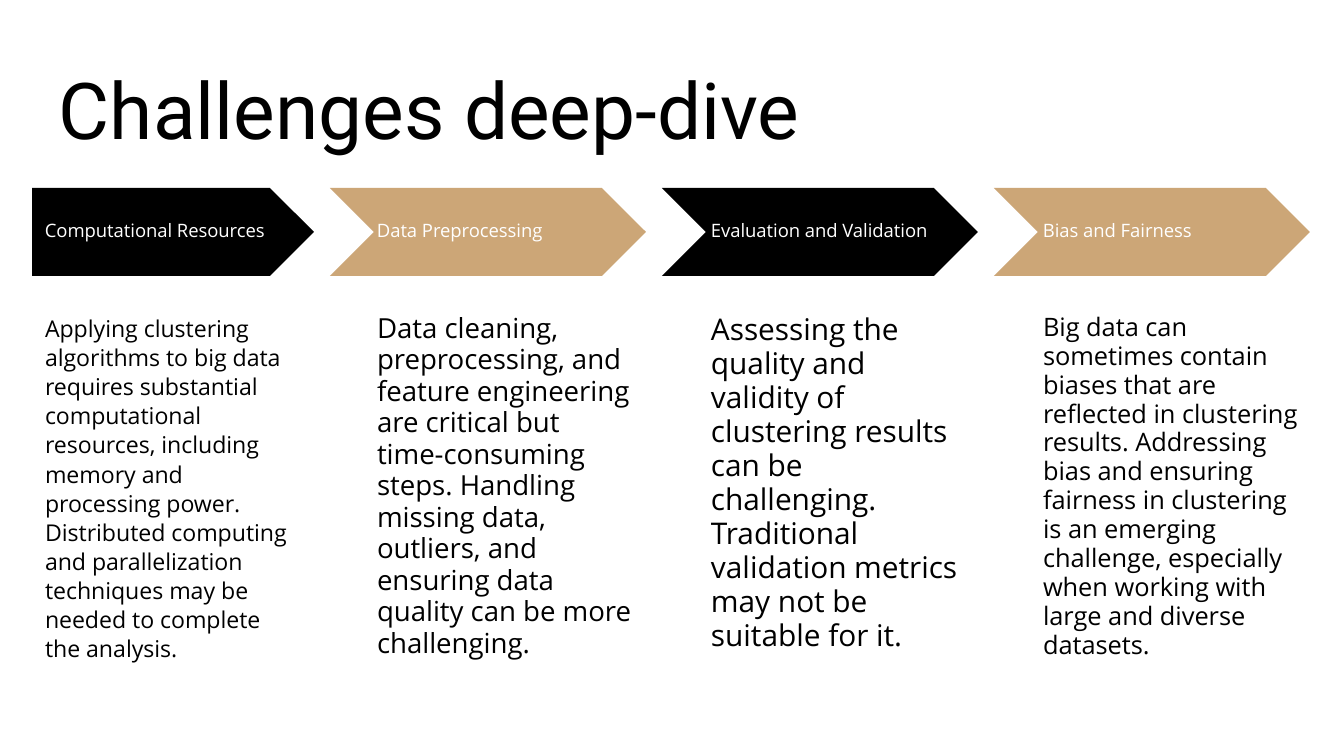
from pptx import Presentation
from pptx.dml.color import RGBColor
from pptx.enum.shapes import MSO_SHAPE
from pptx.enum.text import MSO_ANCHOR, MSO_AUTO_SIZE, PP_ALIGN
from pptx.util import Pt
from lxml import etree

PENTAGON, CHEVRON = MSO_SHAPE.PENTAGON, MSO_SHAPE.CHEVRON
TOP, MIDDLE, BOTTOM = MSO_ANCHOR.TOP, MSO_ANCHOR.MIDDLE, MSO_ANCHOR.BOTTOM
NO_FIT, LEFT = MSO_AUTO_SIZE.NONE, PP_ALIGN.LEFT
DRAWING = "{http://schemas.openxmlformats.org/drawingml/2006/main}"

TITLE = "Challenges deep-dive"
CHALLENGES = [
    ("Computational Resources",
     "Applying clustering algorithms to big data requires substantial computational "
     "resources, including memory and processing power. Distributed computing and "
     "parallelization techniques may be needed to complete the analysis.", 12.4, 1.05),
    ("Data Preprocessing",
     "Data cleaning, preprocessing, and feature engineering are critical but "
     "time-consuming steps. Handling missing data, outliers, and ensuring data "
     "quality can be more challenging.", 14.8, 0.95),
    ("Evaluation and Validation",
     "Assessing the quality and validity of clustering results can be challenging. "
     "Traditional validation metrics may not be suitable for it.", 16, 0.95),
    ("Bias and Fairness",
     "Big data can sometimes contain biases that are reflected in clustering results. "
     "Addressing bias and ensuring fairness in clustering is an emerging challenge, "
     "especially when working with large and diverse datasets.", 13.6, 0.95),
]

THEME = {
    "black": RGBColor(0, 0, 0),
    "white": RGBColor(255, 255, 255),
    "tan": RGBColor(0xCC, 0xA6, 0x77),
    "title_font": "Roboto",
    "body_font": "Open Sans",
    "title_size": 42,
    "label_size": 9.9,
}
SLIDE_WIDTH, SLIDE_HEIGHT = 1344, 756
TEXT_LEFTS = (32, 364, 698, 1030)
COLUMN_WIDTH, NOTCH, INSET = 282, 34, 13
ARROW_LEFT, ARROW_PITCH = 32, 332
ARROW_TOP, ARROW_HEIGHT = 188, 88
LABEL_TOP, LABEL_WIDTH, LABEL_HEIGHT = 210, 258, 45
DETAIL_TOP, DETAIL_HEIGHT = 300, 387


def px(length):
    return round(length * 914400 / 134.4)


def place(shape, *box):
    shape.left, shape.top, shape.width, shape.height = map(px, box)


def write(shape, text, *, size, color, font=THEME["body_font"], anchor=TOP,
          spacing=1.0, after=0):
    frame = shape.text_frame
    frame.text = text
    frame.word_wrap = True
    frame.auto_size = NO_FIT
    frame.vertical_anchor = anchor
    frame.margin_left = frame.margin_right = px(INSET)
    frame.margin_top = frame.margin_bottom = px(INSET)
    paragraph = frame.paragraphs[0]
    paragraph.alignment = LEFT
    paragraph.line_spacing = spacing
    paragraph.space_before, paragraph.space_after = Pt(0), Pt(after)
    properties = paragraph._p.get_or_add_pPr()
    properties.set("marL", "0")
    properties.set("indent", "0")
    etree.SubElement(properties, DRAWING + "buNone")
    style = paragraph.runs[0].font
    style.name, style.size, style.bold = font, Pt(size), False
    style.color.rgb = color


def add_arrow(slide, column):
    notch = NOTCH if column else 0
    arrow = slide.shapes.add_shape(
        CHEVRON if column else PENTAGON,
        px(ARROW_LEFT + column * ARROW_PITCH - notch), px(ARROW_TOP),
        px(COLUMN_WIDTH + notch), px(ARROW_HEIGHT))
    arrow.adjustments[0] = 0.5
    arrow.shadow.inherit = False
    arrow.fill.solid()
    arrow.fill.fore_color.rgb = THEME["tan" if column % 2 else "black"]
    arrow.line.fill.background()


def main():
    deck = Presentation()
    deck.slide_width, deck.slide_height = px(SLIDE_WIDTH), px(SLIDE_HEIGHT)
    slide = deck.slides.add_slide(deck.slide_layouts.get_by_name("Comparison"))

    title = slide.shapes.title
    place(title, 46, 46, 1252, 122)
    write(title, TITLE, size=THEME["title_size"], color=THEME["black"],
          font=THEME["title_font"], anchor=BOTTOM)

    details = list(slide.placeholders)[1:5]
    for column, (challenge, detail, left) in enumerate(
            zip(CHALLENGES, details, TEXT_LEFTS)):
        label_text, detail_text, detail_size, spacing = challenge
        add_arrow(slide, column)
        label = slide.shapes.add_textbox(0, 0, 0, 0)
        place(label, left, LABEL_TOP, LABEL_WIDTH, LABEL_HEIGHT)
        write(label, label_text, size=THEME["label_size"], color=THEME["white"],
              anchor=MIDDLE, spacing=0.8)
        place(detail, left, DETAIL_TOP, COLUMN_WIDTH, DETAIL_HEIGHT)
        write(detail, detail_text, size=detail_size, color=THEME["black"],
              spacing=spacing, after=8)

    deck.save("out.pptx")


if __name__ == "__main__":
    main()
